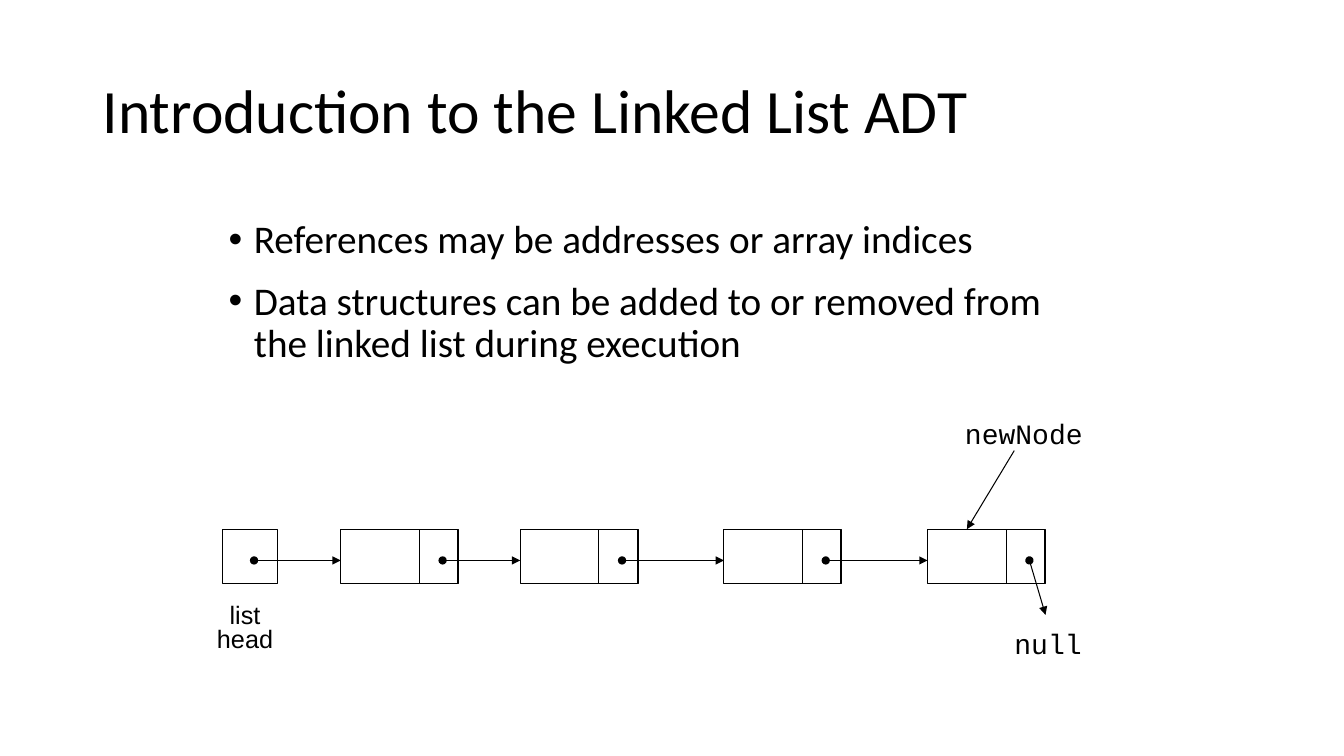
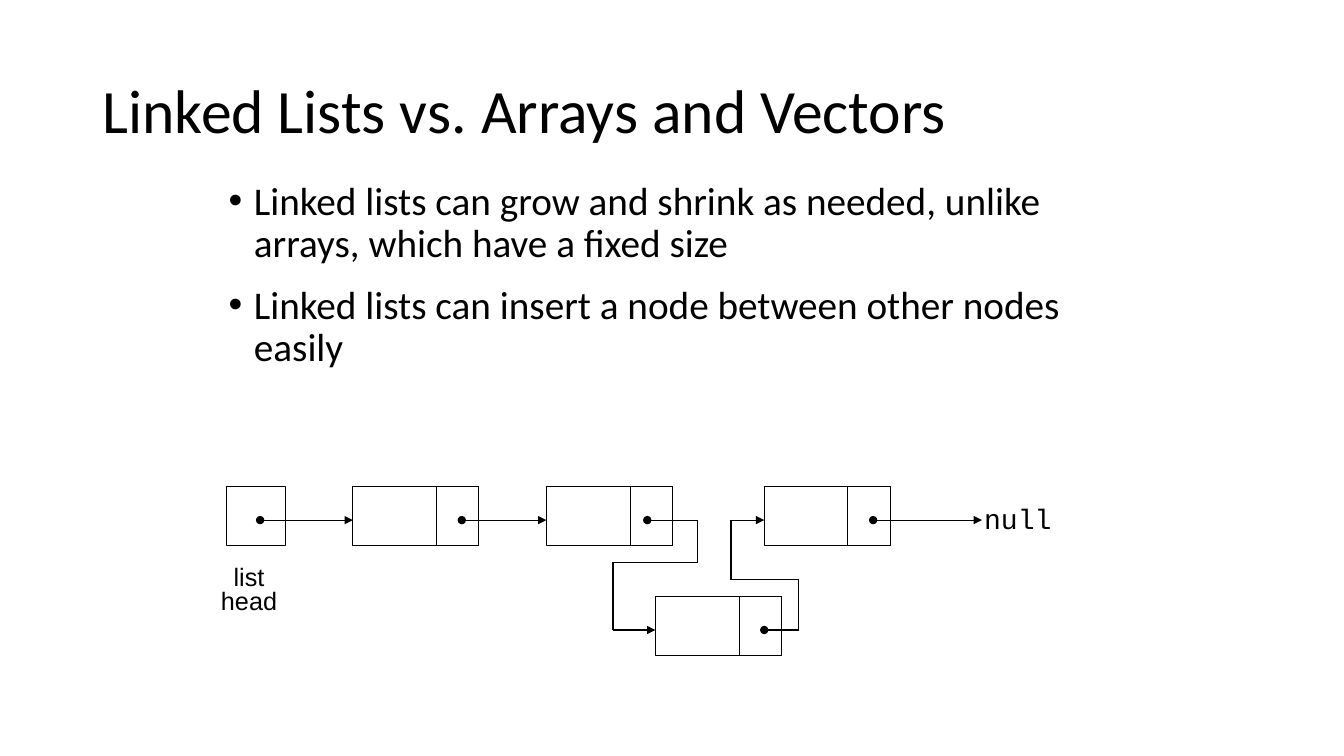
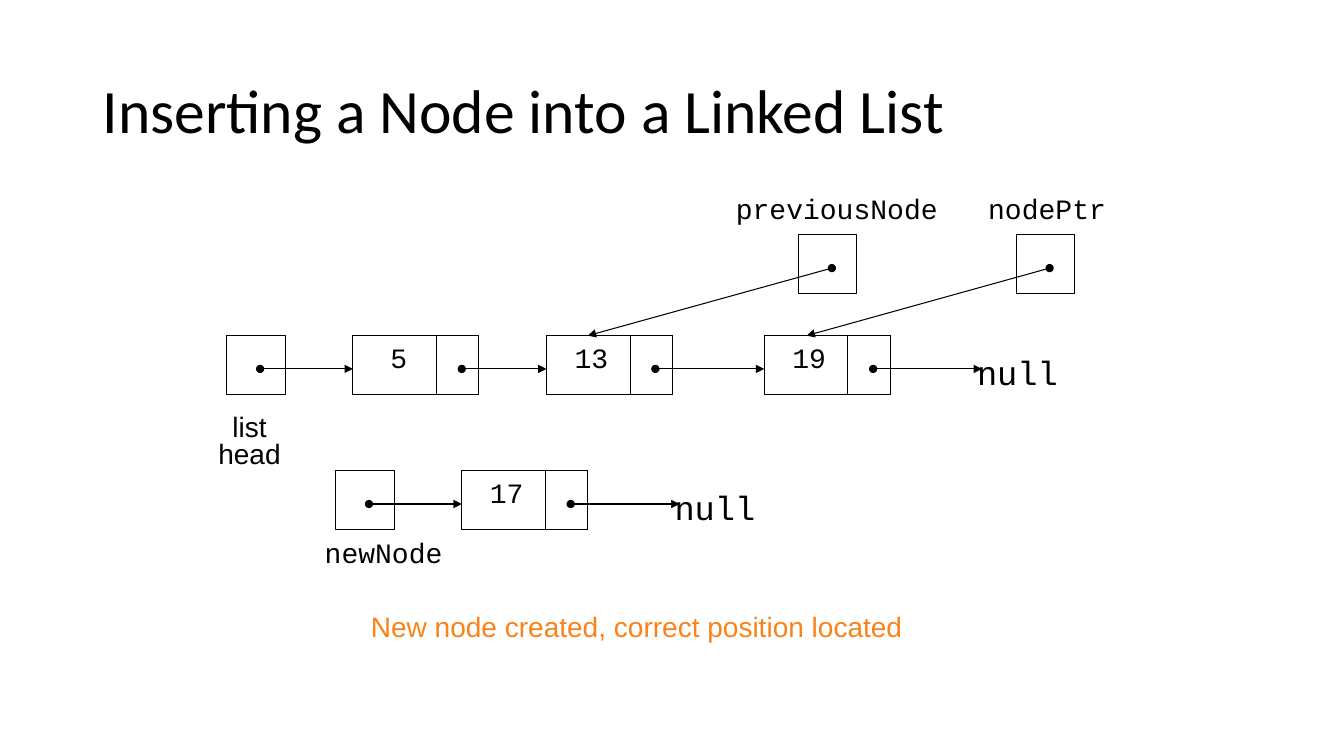
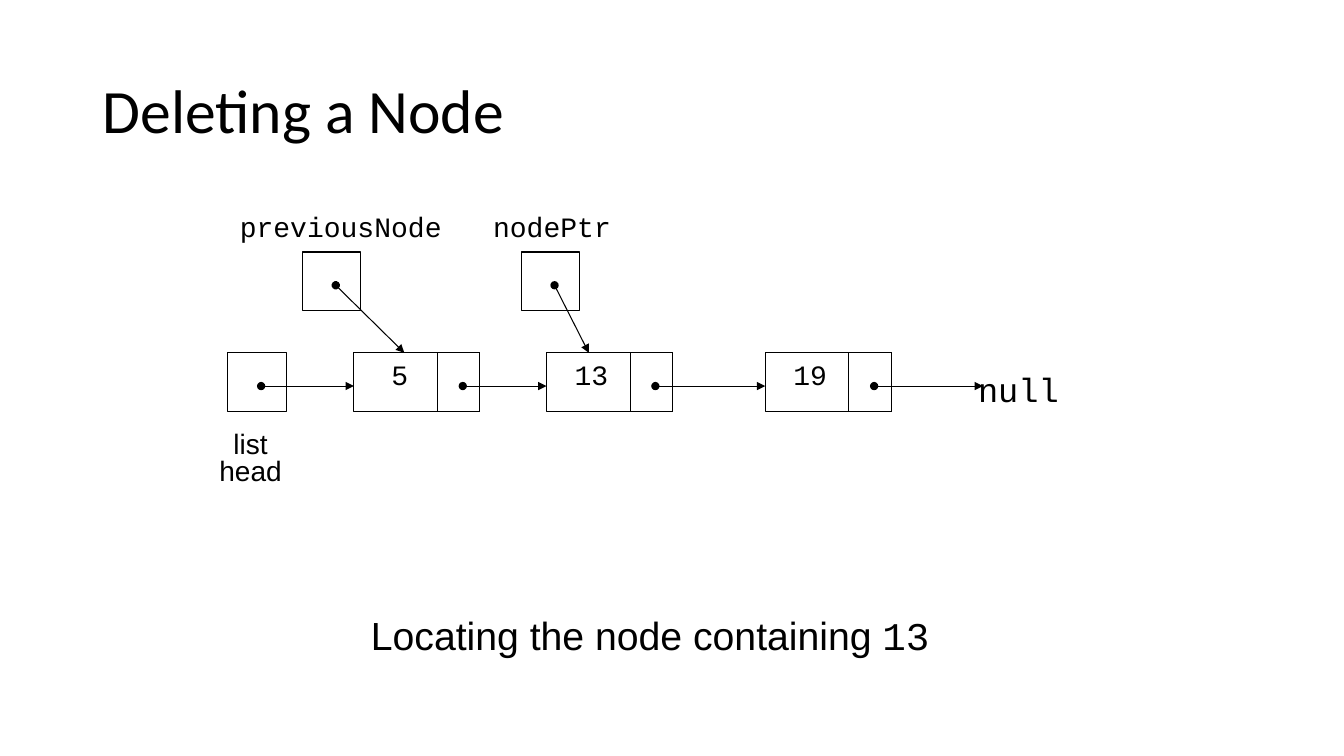
from itertools import pairwise

from lxml import etree
from pptx import Presentation
from pptx.dml.color import RGBColor
from pptx.enum import shapes, text
from pptx.oxml import ns
from pptx.util import Pt

PX = 9144
BLACK = "000000"
ORANGE = "FA8218"
SANS = "Arial"
MONO = "Courier New"
BODY = "Calibri"
SMALL = 7.76
LARGE = 8.33


def emu(*lengths):
    return [round(length) * PX for length in lengths]


def color(value):
    return RGBColor.from_string(value)


def add_child(parent, tag, **attributes):
    return etree.SubElement(parent, ns.qn(tag), **attributes)


def add_bullet(paragraph):
    properties = paragraph._p.get_or_add_pPr()
    properties.set("marL", str(25 * PX))
    properties.set("indent", str(-25 * PX))
    add_child(properties, "a:buFont", typeface=SANS)
    add_child(properties, "a:buChar", char="•")


def add_text(slide, paragraphs, x, y, width, height, font=SANS, size=20, fill=BLACK,
             align=text.PP_ALIGN.LEFT, anchor=text.MSO_ANCHOR.TOP, spacing=1.0,
             before=0, wrap=False, bullet=False):
    frame = slide.shapes.add_textbox(*emu(x, y, width, height)).text_frame
    frame.word_wrap = wrap
    frame.vertical_anchor = anchor
    for index, content in enumerate(paragraphs):
        paragraph = frame.paragraphs[0] if index == 0 else frame.add_paragraph()
        paragraph.alignment = align
        paragraph.line_spacing = spacing
        paragraph.space_before = Pt(before)
        if bullet:
            add_bullet(paragraph)
        runs = [(content, font)] if isinstance(content, str) else content
        for words, run_font in runs:
            run = paragraph.add_run()
            run.text = words
            run.font.name = run_font
            run.font.size = Pt(size)
            run.font.color.rgb = color(fill)


def add_label(slide, paragraphs, center, top, font=MONO, size=20, **options):
    width = max(map(len, paragraphs)) * size * 5 / 6 + 22
    add_text(slide, paragraphs, center - width / 2, top, width, 44, font=font, size=size,
             align=text.PP_ALIGN.CENTER, **options)


def add_bullets(slide, paragraphs, *box):
    add_text(slide, paragraphs, *box, font=BODY, size=28, spacing=0.9, before=14,
             wrap=True, bullet=True)


def add_box(slide, x, y, width, height):
    shape = slide.shapes.add_shape(shapes.MSO_SHAPE.RECTANGLE, *emu(x, y, width, height))
    shape.shadow.inherit = False
    shape.fill.background()
    shape.line.color.rgb = color(BLACK)
    shape.line.width = Pt(0.75)


def add_route(slide, *points, dot=True):
    segments = list(pairwise(points))
    for index, (start, end) in enumerate(segments):
        connector = slide.shapes.add_connector(
            shapes.MSO_CONNECTOR.STRAIGHT, *emu(*start, *end))
        connector.line.color.rgb = color(BLACK)
        connector.line.width = Pt(0.75)
        line = connector.line._get_or_add_ln()
        if dot and index == 0:
            add_child(line, "a:headEnd", type="oval")
        if index == len(segments) - 1:
            add_child(line, "a:tailEnd", type="triangle")
        add_child(connector._element.spPr, "a:effectLst")


def add_pointer_box(slide, x, y, unit=LARGE):
    add_box(slide, x, y, 7 * unit, 7 * unit)
    return x + round(4 * unit), y + round(4 * unit)


def add_node(slide, x, y, value=None, unit=LARGE):
    add_box(slide, x, y, 15 * unit, 7 * unit)
    add_box(slide, x + 10 * unit, y, 5 * unit, 7 * unit)
    if value:
        add_label(slide, [value], x + 45, y)
    return x + round(13 * unit), y + round(4 * unit)


def add_chain(slide, head_x, y, nodes, unit=LARGE):
    dot = add_pointer_box(slide, head_x, y, unit)
    for x, value in nodes:
        add_route(slide, dot, (x, dot[1]))
        dot = add_node(slide, x, y, value, unit)
    return dot


def add_list_head(slide, head_x, y, size=20, unit=LARGE):
    add_label(slide, ["list", "head"], head_x + 22, y + 9 * unit, font=SANS, size=size,
              spacing=0.8)


def add_null_link(slide, dot, size=24):
    x, y = dot
    add_route(slide, dot, (x + 108, y))
    add_label(slide, ["null"], x + 143, y - 30, size=size, spacing=1.2)


def add_pointer(slide, name, x, y, target, label_offset):
    add_route(slide, add_pointer_box(slide, x, y), target)
    add_label(slide, [name], x + label_offset, y - 41, spacing=0.8)


def add_slide(presentation, title):
    slide = presentation.slides.add_slide(presentation.slide_layouts[6])
    add_text(slide, [title], 92, 40, 1150, 145, font=BODY, size=44, spacing=0.9,
             anchor=text.MSO_ANCHOR.MIDDLE, wrap=True)
    return slide


def build_introduction(presentation):
    slide = add_slide(presentation, "Introduction to the Linked List ADT")
    add_bullets(slide, [
        "References may be addresses or array indices",
        "Data structures can be added to or removed from the linked list during execution",
    ], 217, 213, 875, 409)
    nodes = [(x, None) for x in (338, 516, 718, 920)]
    last = add_chain(slide, 221, 525, nodes, SMALL)
    add_list_head(slide, 221, 525, size=18, unit=SMALL)
    add_route(slide, last, (1037, 610))
    add_label(slide, ["null"], 1039, 610, spacing=1.2)
    add_label(slide, ["newNode"], 1015, 408)
    add_route(slide, (1006, 447), (959, 525), dot=False)


def build_comparison(presentation):
    slide = add_slide(presentation, "Linked Lists vs. Arrays and Vectors")
    add_bullets(slide, [
        "Linked lists can grow and shrink as needed, unlike arrays, which have a fixed size",
        "Linked lists can insert a node between other nodes easily",
    ], 217, 175, 908, 308)
    row = add_chain(slide, 225, 483, [(350, None), (542, None)])[1]
    add_list_head(slide, 225, 483, size=18)
    add_null_link(slide, add_node(slide, 758, 483), size=20)
    inserted = add_node(slide, 650, 592)
    low = inserted[1]
    add_route(slide, (642, row), (692, row), (692, 558), (608, 558), (608, low), (650, low))
    add_route(slide, inserted, (792, low), (792, 575), (725, 575), (725, row), (758, row))


def build_insertion(presentation):
    slide = add_slide(presentation, "Inserting a Node into a Linked List")
    add_null_link(slide, add_chain(slide, 225, 333, [(350, "5"), (542, "13"), (758, "19")]))
    add_list_head(slide, 225, 333)
    add_null_link(slide, add_chain(slide, 333, 467, [(458, "17")]))
    add_label(slide, ["newNode"], 380, 533, spacing=0.8)
    add_pointer(slide, "nodePtr", 1008, 233, (800, 333), 30)
    add_pointer(slide, "previousNode", 792, 233, (583, 333), 38)
    add_text(slide, ["New node created, correct position located"], 358, 600, 551, 44,
             fill=ORANGE)


def build_deletion(presentation):
    slide = add_slide(presentation, "Deleting a Node")
    add_null_link(slide, add_chain(slide, 226, 350, [(351, "5"), (542, "13"), (759, "19")]))
    add_list_head(slide, 226, 350)
    add_pointer(slide, "nodePtr", 517, 250, (584, 350), 30)
    add_pointer(slide, "previousNode", 300, 250, (401, 350), 38)
    add_text(slide, [[("Locating the node containing ", SANS), ("13", MONO)]],
             358, 602, 581, 57, size=28)


def main():
    presentation = Presentation()
    presentation.slide_width, presentation.slide_height = emu(1333, 750)
    build_introduction(presentation)
    build_comparison(presentation)
    build_insertion(presentation)
    build_deletion(presentation)
    presentation.save("out.pptx")


if __name__ == "__main__":
    main()
